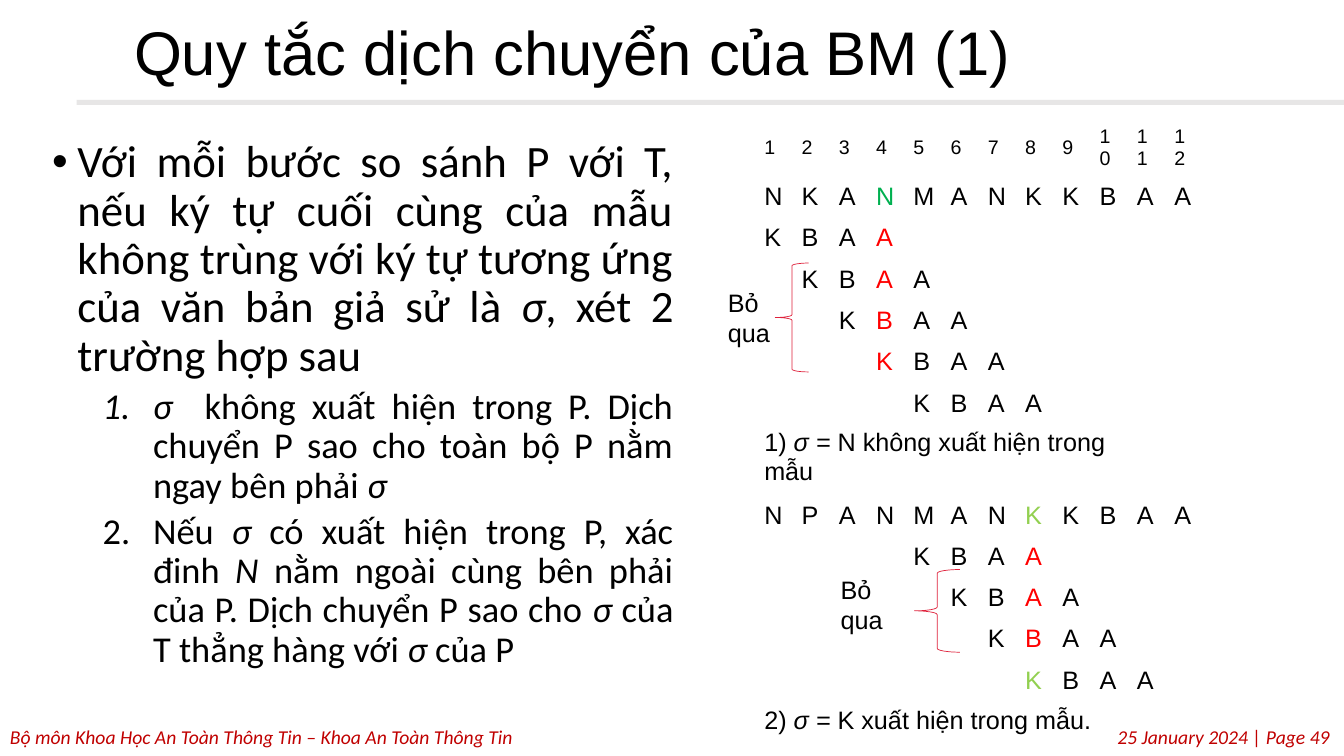
from lxml import etree
from pptx import Presentation
from pptx.dml.color import RGBColor
from pptx.enum.shapes import MSO_SHAPE
from pptx.enum.text import MSO_ANCHOR, MSO_AUTO_SIZE, PP_ALIGN
from pptx.oxml.ns import qn
from pptx.util import Inches, Pt

LEFT, RIGHT, JUSTIFY = PP_ALIGN.LEFT, PP_ALIGN.RIGHT, PP_ALIGN.JUSTIFY
TOP, MIDDLE = MSO_ANCHOR.TOP, MSO_ANCHOR.MIDDLE

BLACK = RGBColor(0x00, 0x00, 0x00)
FOOTER_RED = RGBColor(0xC0, 0x00, 0x00)
RULE_GREY = RGBColor(0xE7, 0xE6, 0xE6)
BRACE_RED = RGBColor(0xDF, 0x21, 0x3B)
RED = RGBColor(0xFF, 0x00, 0x00)
GREEN = RGBColor(0x00, 0xB0, 0x50)
LIME = RGBColor(0x92, 0xD0, 0x50)

WIDTH, HEIGHT = 13.33, 7.5
COLUMN, ROW = 0.37, 0.41
COLUMNS = 12
PLAIN_TABLE_STYLE = "{2D5ABB26-0587-4C30-8999-92F81FD0307C}"


def write(paragraph, text, size, font="Arial", color=BLACK, align=LEFT, italic=False):
    """Fill a paragraph; parts between asterisks switch the italic setting."""
    paragraph.alignment = align
    for index, part in enumerate(text.split("*")):
        if part:
            run = paragraph.add_run()
            run.text = part
            run.font.color.rgb = color
            values = {"name": font, "size": Pt(size), "italic": italic != bool(index % 2)}
            for name, value in values.items():
                setattr(run.font, name, value)


def add_text_box(left, top, width, height):
    box = slide.shapes.add_textbox(Inches(left), Inches(top), Inches(width), Inches(height))
    box.text_frame.word_wrap = True
    return box.text_frame


presentation = Presentation()
presentation.slide_width = Inches(WIDTH)
presentation.slide_height = Inches(HEIGHT)
slide = presentation.slides.add_slide(presentation.slide_layouts[5])

# Footer and the rule below the title
footers = [
    ("Bộ môn Khoa Học An Toàn Thông Tin – Khoa An Toàn Thông Tin", LEFT),
    ("25 January 2024 | Page 49", RIGHT),
]
for text, align in footers:
    frame = add_text_box(0, 7.14, 13.29, 0.34)
    write(frame.paragraphs[0], text, 14, "Calibri", FOOTER_RED, align, italic=True)

rule = slide.shapes.add_shape(
    MSO_SHAPE.RECTANGLE, Inches(0.76), Inches(0.99), Inches(WIDTH - 0.76), Inches(0.05))
rule.shadow.inherit = False
rule.fill.solid()
rule.fill.fore_color.rgb = RULE_GREY
rule.line.fill.background()

# Title
title = slide.shapes.title
title_place = {"left": 1.23, "top": 0.17, "width": 9, "height": 1.25}
for name, value in title_place.items():
    setattr(title, name, Inches(value))
title.text_frame.auto_size = MSO_AUTO_SIZE.NONE
title.text_frame.vertical_anchor = TOP
title_paragraph = title.text_frame.paragraphs[0]
title_paragraph.line_spacing = 0.9
write(title_paragraph, "Quy tắc dịch chuyển của BM (1)", 44)

# Rule statement with its two numbered cases
statements = [
    ("Với mỗi bước so sánh P với T, nếu ký tự cuối cùng của mẫu không trùng với "
     "ký tự tương ứng của văn bản giả sử là *σ*, xét 2 trường hợp sau", 0),
    ("*σ  *không xuất hiện trong P. Dịch chuyển P sao cho toàn bộ P nằm "
     "ngay bên phải *σ *", 1),
    ("Nếu *σ *có xuất hiện trong P, xác đinh *N *nằm ngoài cùng bên phải của P. "
     "Dịch chuyển P sao cho *σ *của T thẳng hàng với *σ *của P", 1),
]
# level: text size, space before, left margin, hanging indent, bullet tag and attributes
levels = [
    (32, 10, 0.25, 0.25, "a:buChar", {"char": "•"}),
    (26, 5, 1, 0.5, "a:buAutoNum", {"type": "arabicPeriod"}),
]
body = add_text_box(0.42, 1.33, 6.36, 5.72)
for index, (text, level) in enumerate(statements):
    size, space, margin, hanging, bullet, attributes = levels[level]
    paragraph = body.add_paragraph() if index else body.paragraphs[0]
    paragraph.level = level
    paragraph.line_spacing = 0.9
    paragraph.space_before = Pt(space)
    write(paragraph, text, size, "Calibri", align=JUSTIFY)
    properties = paragraph._p.get_or_add_pPr()
    properties.set("marL", str(Inches(margin)))
    properties.set("indent", str(-Inches(hanging)))
    if level == 0:
        etree.SubElement(properties, qn("a:buFont"), typeface="Arial")
    etree.SubElement(properties, qn(bullet), attributes)

# Matching table: start column, letters, marked column, colour of the mark
matching_rows = [
    (0, [str(number) for number in range(1, COLUMNS + 1)], None, BLACK),
    (0, "NKANMANKKBAA", 3, GREEN),
    (0, "KBAA", 3, RED),
    (1, "KBAA", 3, RED),
    (2, "KBAA", 3, RED),
    (3, "KBAA", 3, RED),
    (4, "KBAA", None, BLACK),
    "1) *σ = *N không xuất hiện trong mẫu",
    (0, "NPANMANKKBAA", 7, LIME),
    (4, "KBAA", 7, RED),
    (5, "KBAA", 7, RED),
    (6, "KBAA", 7, RED),
    (7, "KBAA", 7, LIME),
    "2) *σ = *K xuất hiện trong mẫu.",
]
table_frame = slide.shapes.add_table(
    len(matching_rows), COLUMNS, Inches(7.48), Inches(1.18),
    Inches(COLUMN * COLUMNS), Inches(ROW * len(matching_rows)))
table = table_frame.table
table.first_row = table.horz_banding = False
table._tbl.tblPr.find(qn("a:tableStyleId")).text = PLAIN_TABLE_STYLE
for column in table.columns:
    column.width = Inches(COLUMN)
for row_index, content in enumerate(matching_rows):
    table.rows[row_index].height = Inches(ROW)
    for cell in table.rows[row_index].cells:
        cell.fill.background()
    if isinstance(content, str):
        caption = table.cell(row_index, 0)
        caption.merge(table.cell(row_index, COLUMNS - 2))
        write(caption.text_frame.paragraphs[0], content, 18)
        continue
    start, letters, marked, mark_color = content
    for column_index, letter in enumerate(letters, start):
        cell = table.cell(row_index, column_index)
        cell.vertical_anchor = MIDDLE
        color = mark_color if column_index == marked else BLACK
        write(cell.text_frame.paragraphs[0], letter, 18 if row_index else 14, color=color)

# Skipped shifts: brace place, then label corner
skipped_shifts = [
    ((7.69, 2.61, 0.33, 1.08), (7.12, 2.8)),
    ((9.07, 5.65, 0.45, 0.82), (8.24, 5.65)),
]
for brace_place, (label_left, label_top) in skipped_shifts:
    brace = slide.shapes.add_shape(
        MSO_SHAPE.LEFT_BRACE, *[Inches(length) for length in brace_place])
    brace.shadow.inherit = False
    brace.fill.background()
    brace.line.color.rgb = BRACE_RED
    brace.line.width = Pt(0.5)
    label = add_text_box(label_left, label_top, 0.67, 0.71)
    write(label.paragraphs[0], "Bỏ qua", 18)

presentation.save("out.pptx")
